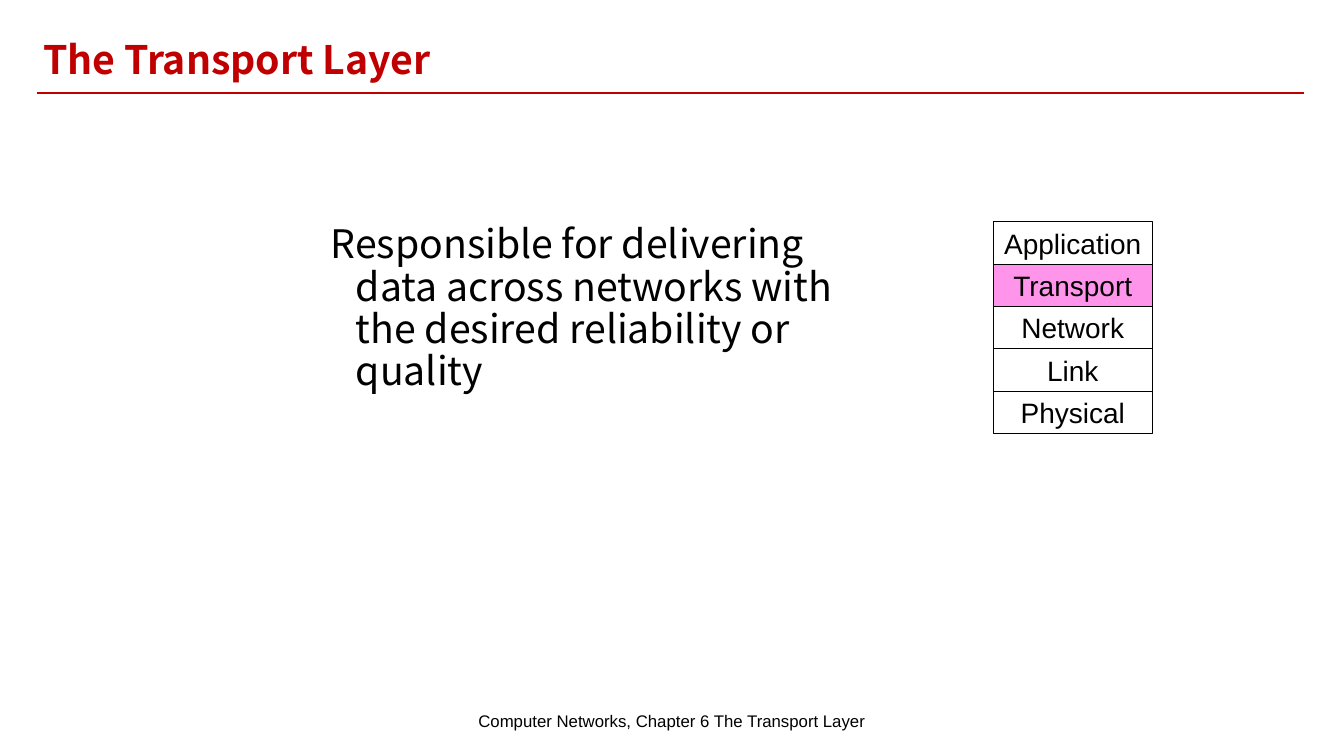
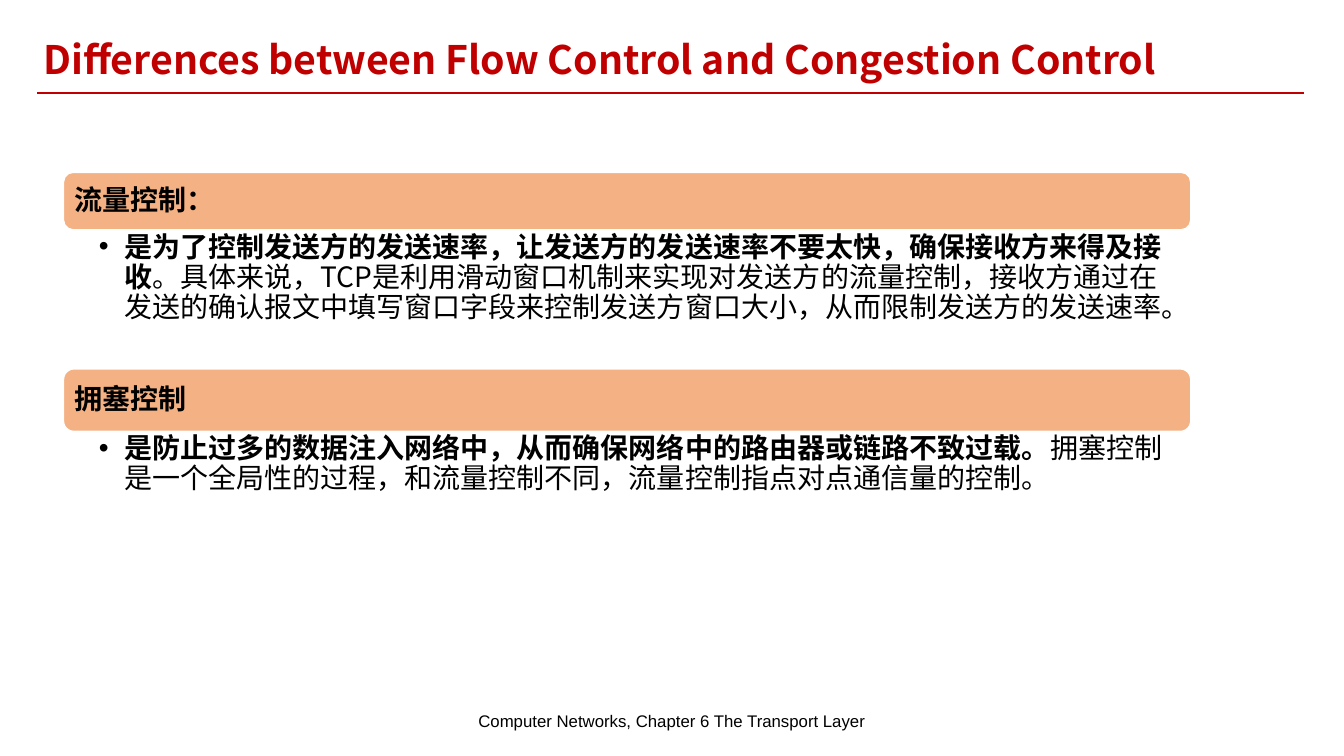
import pptx
import pptx.dml.color
import pptx.enum.shapes
import pptx.enum.text
import pptx.oxml.ns
import pptx.util
from lxml import etree

ALIGN = pptx.enum.text.PP_ALIGN
ANCHOR = pptx.enum.text.MSO_ANCHOR
SHAPE = pptx.enum.shapes.MSO_SHAPE

# Content
FOOTER = "Computer Networks, Chapter 6 The Transport Layer"
LAYER_TITLE = "The Transport Layer"
LAYER_SUMMARY = ("Responsible for delivering data across networks "
                 "with the desired reliability or quality")
LAYERS = ["Application", "Transport", "Network", "Link", "Physical"]
CURRENT_LAYER = "Transport"
CONTROL_TITLE = "Differences between Flow Control and Congestion Control"
# heading, bold opening, remaining text, top of band, height of band, height of text
CONTROLS = [
    ("流量控制：",
     "是为了控制发送方的发送速率，让发送方的发送速率不要太快，确保接收方来得及接收",
     "。具体来说，TCP是利用滑动窗口机制来实现对发送方的流量控制，接收方通过在发送的确认报文中"
     "填写窗口字段来控制发送方窗口大小，从而限制发送方的发送速率。",
     1.71, 0.57, 1.38),
    ("拥塞控制",
     "是防止过多的数据注入网络中，从而确保网络中的路由器或链路不致过载。",
     "拥塞控制是一个全局性的过程，和流量控制不同，流量控制指点对点通信量的控制。",
     3.66, 0.62, 1.16),
]

# Shared style
SLIDE_WIDTH, SLIDE_HEIGHT = 13.33, 7.5
RED, BLACK, WHITE, PINK, ORANGE = "C00000", "000000", "FFFFFF", "FF2BD8", "F4B183"
SANS, CJK = "Arial", "Noto Sans CJK SC"
TITLE_BOX = (0.33, 0.3, 12.81, 0.57)
RULE_LEFT, RULE_RIGHT, RULE_TOP = 0.37, 12.93, 0.92
FOOTER_WIDTH, FOOTER_TOP, FOOTER_HEIGHT = 4.5, 6.95, 0.4
STACK_LEFT, STACK_TOP, LAYER_WIDTH, LAYER_HEIGHT = 9.85, 2.2, 1.58, 0.42
BAND_LEFT, BAND_WIDTH = 0.63, 11.18


def color(hex_string):
    return pptx.dml.color.RGBColor.from_string(hex_string)


def inches(*values):
    return [pptx.util.Inches(value) for value in values]


def add_child(parent, tag, **attributes):
    child = etree.SubElement(parent, pptx.oxml.ns.qn(tag))
    for name, value in attributes.items():
        child.set(name, str(value))
    return child


def place(shape, box):
    shape.left, shape.top, shape.width, shape.height = inches(*box)


def write(shape, *texts, size=20, font=CJK, ink=BLACK, bold=(False,), align=ALIGN.LEFT,
          anchor=ANCHOR.TOP, insets=(0.1, 0.05, 0.1, 0.05), wrap=True,
          spacing=1.0, hanging=0, bullet=None):
    """Write one paragraph; each text is a run with its own bold flag."""
    frame = shape.text_frame
    frame.auto_size = pptx.enum.text.MSO_AUTO_SIZE.NONE
    frame.word_wrap, frame.vertical_anchor = wrap, anchor
    (frame.margin_left, frame.margin_top,
     frame.margin_right, frame.margin_bottom) = inches(*insets)
    paragraph = frame.paragraphs[0]
    properties = paragraph._p.get_or_add_pPr()
    indent = pptx.util.Inches(hanging)
    properties.set("marL", str(indent))
    properties.set("indent", str(-indent))
    if bullet:
        add_child(properties, "a:buFont", typeface=SANS)
        add_child(properties, "a:buChar", char=bullet)
    else:
        add_child(properties, "a:buNone")
    paragraph.alignment, paragraph.line_spacing = align, spacing
    paragraph.space_before = pptx.util.Pt(0)
    for text, weight in zip(texts, bold):
        run = paragraph.add_run()
        run.text = text
        run.font.size, run.font.bold, run.font.name = pptx.util.Pt(size), weight, font
        run.font.color.rgb = color(ink)
        add_child(run.font._element, "a:ea", typeface=font)


def add_box(slide, kind, box, fill=None, opacity=100, line=BLACK, line_width=0.75):
    shape = slide.shapes.add_shape(kind, *inches(*box))
    shape.shadow.inherit = False
    if fill:
        shape.fill.solid()
        shape.fill.fore_color.rgb = color(fill)
        if opacity < 100:
            tint = shape.element.spPr.find(".//" + pptx.oxml.ns.qn("a:srgbClr"))
            add_child(tint, "a:alpha", val=opacity * 1000)
    else:
        shape.fill.background()
    shape.line.color.rgb = color(line)
    shape.line.width = pptx.util.Pt(line_width)
    return shape


def add_slide(presentation, layout_name, title):
    """Start a slide with the shared rule, footer and title."""
    slide = presentation.slides.add_slide(presentation.slide_layouts.get_by_name(layout_name))
    rule = slide.shapes.add_connector(
        pptx.enum.shapes.MSO_CONNECTOR.STRAIGHT,
        *inches(RULE_LEFT, RULE_TOP, RULE_RIGHT, RULE_TOP))
    rule.line.color.rgb = color(RED)
    rule.line.width = pptx.util.Pt(1.5)
    add_child(rule.element.spPr, "a:effectLst")
    footer = slide.shapes.add_textbox(*inches(
        (SLIDE_WIDTH - FOOTER_WIDTH) / 2, FOOTER_TOP, FOOTER_WIDTH, FOOTER_HEIGHT))
    write(footer, FOOTER, size=12, font=SANS, align=ALIGN.CENTER, anchor=ANCHOR.MIDDLE)
    heading = slide.shapes.title
    place(heading, TITLE_BOX)
    heading.fill.solid()
    heading.fill.fore_color.rgb = color(WHITE)
    write(heading, title, size=28, ink=RED, bold=(True,))
    return slide


def build_layer_slide(presentation):
    slide = add_slide(presentation, "Title and Content", LAYER_TITLE)
    summary = slide.placeholders[1]
    place(summary, (3.18, 2.18, 5.66, 4.4))
    write(summary, LAYER_SUMMARY, size=28, spacing=0.9, hanging=0.25)
    # Protocol stack
    for row, name in enumerate(LAYERS):
        box = (STACK_LEFT, STACK_TOP + row * LAYER_HEIGHT, LAYER_WIDTH, LAYER_HEIGHT)
        layer = add_box(slide, SHAPE.RECTANGLE, box, opacity=50,
                        fill=PINK if name == CURRENT_LAYER else None)
        write(layer, name, font=SANS, align=ALIGN.CENTER, anchor=ANCHOR.MIDDLE,
              insets=(0, 0, 0, 0), wrap=False)


def build_control_slide(presentation):
    slide = add_slide(presentation, "Two Content", CONTROL_TITLE)
    bodies = list(slide.placeholders)[1:]
    for body, (heading, opening, rest, top, height, body_height) in zip(bodies, CONTROLS):
        band = add_box(slide, SHAPE.ROUNDED_RECTANGLE, (BAND_LEFT, top, BAND_WIDTH, height),
                       fill=ORANGE, line=WHITE, line_width=1)
        write(band, heading, bold=(True,), anchor=ANCHOR.MIDDLE, spacing=0.9,
              insets=(0.08, 0.08, 0.08, 0.08))
        place(body, (BAND_LEFT, top + height, BAND_WIDTH, body_height))
        write(body, opening, rest, bold=(True, False), spacing=0.9, hanging=0.25,
              bullet="•", insets=(0.35, 0.03, 0.16, 0.03))


def main():
    presentation = pptx.Presentation()
    presentation.slide_width, presentation.slide_height = inches(SLIDE_WIDTH, SLIDE_HEIGHT)
    build_layer_slide(presentation)
    build_control_slide(presentation)
    presentation.save("out.pptx")


if __name__ == "__main__":
    main()
